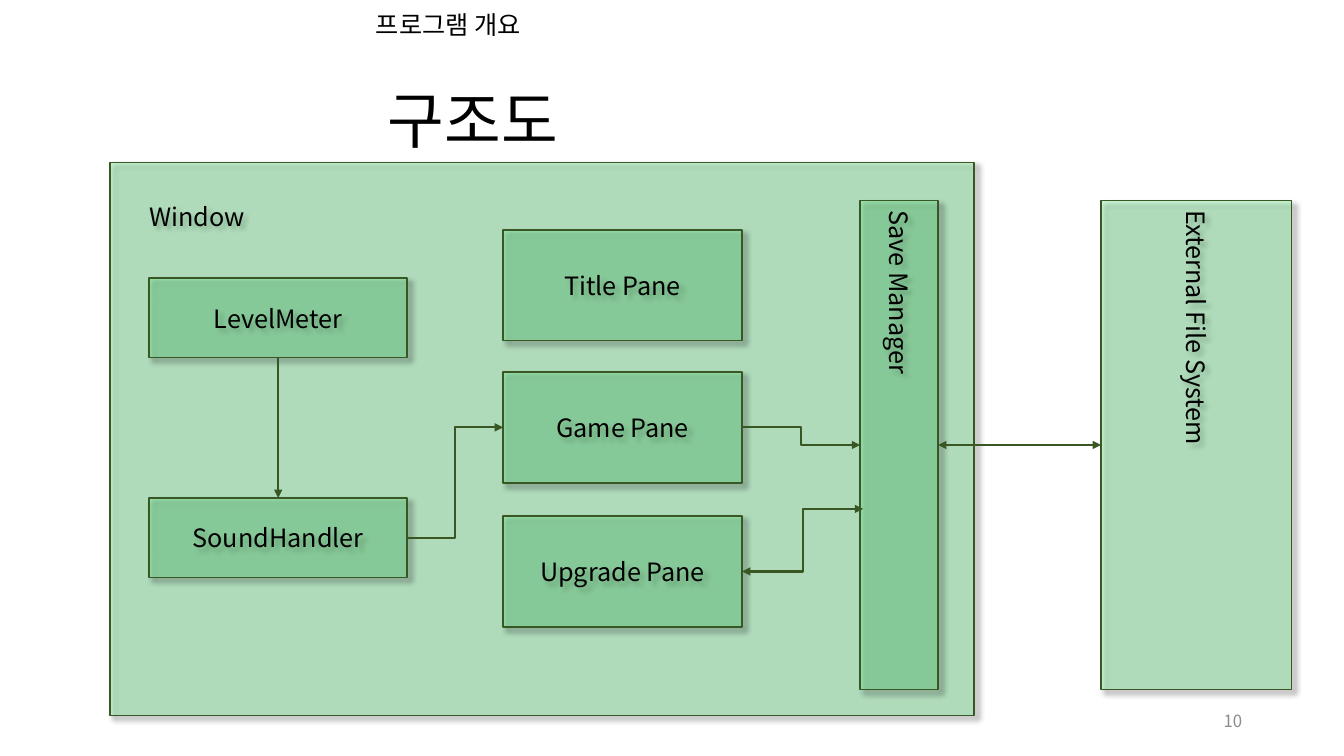
from dataclasses import dataclass

from lxml.etree import SubElement
from pptx import Presentation
from pptx.dml.color import RGBColor
from pptx.enum.shapes import MSO_CONNECTOR, MSO_SHAPE
from pptx.enum.text import MSO_ANCHOR, PP_ALIGN
from pptx.oxml.ns import qn
from pptx.util import Inches, Pt

FONT = "Noto Sans CJK KR"
COLOURS = {"text": "000000", "number": "8C8C8C", "fill": "73ED93",
           "line": "385723", "shadow": "262626"}
WIDTH, HEIGHT = Inches(13.33), Inches(7.5)

# Connection sites of a rectangle
TOP, LEFT, BOTTOM, RIGHT = range(4)


@dataclass(frozen=True)
class Area:
    """Place and size in percent of the slide's width and height."""
    left: float
    top: float
    width: float
    height: float


@dataclass(frozen=True)
class Label:
    text: str
    area: Area
    size: int
    colour: str = "text"
    align: PP_ALIGN = PP_ALIGN.LEFT
    anchor: MSO_ANCHOR = MSO_ANCHOR.MIDDLE
    spacing: float = 1.0


@dataclass(frozen=True)
class Block:
    text: str
    area: Area
    vertical: bool = False
    container: bool = False


@dataclass(frozen=True)
class Link:
    start: str
    start_site: int
    end: str
    end_site: int
    elbow: bool = True
    both_ways: bool = False
    end_point: tuple[float, float] | None = None


LABELS = [
    Label("프로그램 개요", Area(27.23, 0, 13.28, 7.07), 18, spacing=0.9),
    Label("구조도", Area(28.13, 11.33, 17.78, 12.53), 44,
          anchor=MSO_ANCHOR.TOP, spacing=0.9),
    Label("10", Area(70.67, 92.67, 22.5, 5.33), 12, "number", PP_ALIGN.RIGHT),
]


def column(names: list[str], tops: list[float], left: float, width: float,
           height: float) -> list[Block]:
    return [Block(name, Area(left, top, width, height))
            for name, top in zip(names, tops)]


BLOCKS = [
    Block("Window", Area(8.18, 21.47, 64.29, 73.2), container=True),
    *column(["LevelMeter", "SoundHandler"], [36.8, 65.87], 11.1, 19.2, 10.53),
    *column(["Title Pane", "Game Pane", "Upgrade Pane"], [30.4, 49.2, 68.27],
            37.43, 17.78, 14.67),
    Block("Save Manager", Area(64, 26.53, 5.8, 64.67), vertical=True),
    Block("External File System", Area(81.92, 26.53, 14.18, 64.67), vertical=True),
]

LINKS = [
    Link("LevelMeter", BOTTOM, "SoundHandler", TOP, elbow=False),
    Link("SoundHandler", RIGHT, "Game Pane", LEFT),
    Link("Game Pane", RIGHT, "Save Manager", LEFT),
    Link("Save Manager", RIGHT, "External File System", LEFT,
         elbow=False, both_ways=True),
    Link("Upgrade Pane", RIGHT, "Save Manager", LEFT, both_ways=True,
         end_point=(64.22, 67.33)),
]


def across(share: float) -> int:
    return round(WIDTH * share / 100)


def down(share: float) -> int:
    return round(HEIGHT * share / 100)


def place(area: Area) -> tuple[int, int, int, int]:
    return across(area.left), down(area.top), across(area.width), down(area.height)


def colour(name: str) -> RGBColor:
    return RGBColor.from_string(COLOURS[name])


def write(box, text: str, size: int, tint: str, align: PP_ALIGN,
          anchor: MSO_ANCHOR, spacing: float = 1.0) -> None:
    frame = box.text_frame
    frame.word_wrap = True
    frame.vertical_anchor = anchor
    para = frame.paragraphs[0]
    para.alignment = align
    para.line_spacing = spacing
    span = para.add_run()
    span.text = text
    for font in (para.font, span.font):
        font.name = FONT
        font.size = Pt(size)
        font.color.rgb = colour(tint)
    SubElement(span.font._element, qn("a:ea"), typeface=FONT)


def add_label(page, label: Label) -> None:
    box = page.shapes.add_textbox(*place(label.area))
    write(box, label.text, label.size, label.colour, label.align,
          label.anchor, label.spacing)


def add_shadow(box) -> None:
    effects = SubElement(box._element.spPr, qn("a:effectLst"))
    shadow = SubElement(effects, qn("a:outerShdw"), blurRad=str(Pt(4)),
                        dist=str(Pt(4)), dir="2700000", algn="tl",
                        rotWithShape="0")
    tint = SubElement(shadow, qn("a:srgbClr"), val=COLOURS["shadow"])
    SubElement(tint, qn("a:alpha"), val="56000")


def add_block(page, block: Block):
    box = page.shapes.add_shape(MSO_SHAPE.RECTANGLE, *place(block.area))
    box.fill.solid()
    box.fill.fore_color.rgb = colour("fill")
    tint = box._element.spPr.find(qn("a:solidFill"))[0]
    SubElement(tint, qn("a:alpha"), val="36000")
    box.line.color.rgb = colour("line")
    box.line.width = Pt(1)
    add_shadow(box)
    if block.container:
        write(box, block.text, 18, "text", PP_ALIGN.LEFT, MSO_ANCHOR.TOP)
        box.text_frame.margin_left = across(2.93)
        box.text_frame.margin_top = down(5.2)
    else:
        write(box, block.text, 18, "text", PP_ALIGN.CENTER, MSO_ANCHOR.MIDDLE)
    if block.vertical:
        box.text_frame._txBody.bodyPr.set("vert", "eaVert")
    return box


def add_link(page, link: Link, boxes: dict) -> None:
    kind = MSO_CONNECTOR.ELBOW if link.elbow else MSO_CONNECTOR.STRAIGHT
    arrow = page.shapes.add_connector(kind, 0, 0, 0, 0)
    arrow.begin_connect(boxes[link.start], link.start_site)
    if link.end_point:
        arrow.end_x, arrow.end_y = across(link.end_point[0]), down(link.end_point[1])
    else:
        arrow.end_connect(boxes[link.end], link.end_site)
    arrow.line.color.rgb = colour("line")
    arrow.line.width = Pt(1.5)
    outline = arrow.line._get_or_add_ln()
    if link.both_ways:
        SubElement(outline, qn("a:headEnd"), type="triangle")
    SubElement(outline, qn("a:tailEnd"), type="triangle")
    SubElement(arrow._element.spPr, qn("a:effectLst"))


def main() -> None:
    deck = Presentation()
    deck.slide_width, deck.slide_height = WIDTH, HEIGHT
    page = deck.slides.add_slide(deck.slide_layouts[6])

    # Headings and page number
    for label in LABELS:
        add_label(page, label)

    # Program parts, then the arrows between them
    boxes = {block.text: add_block(page, block) for block in BLOCKS}
    for link in LINKS:
        add_link(page, link, boxes)

    deck.save("out.pptx")


if __name__ == "__main__":
    main()
